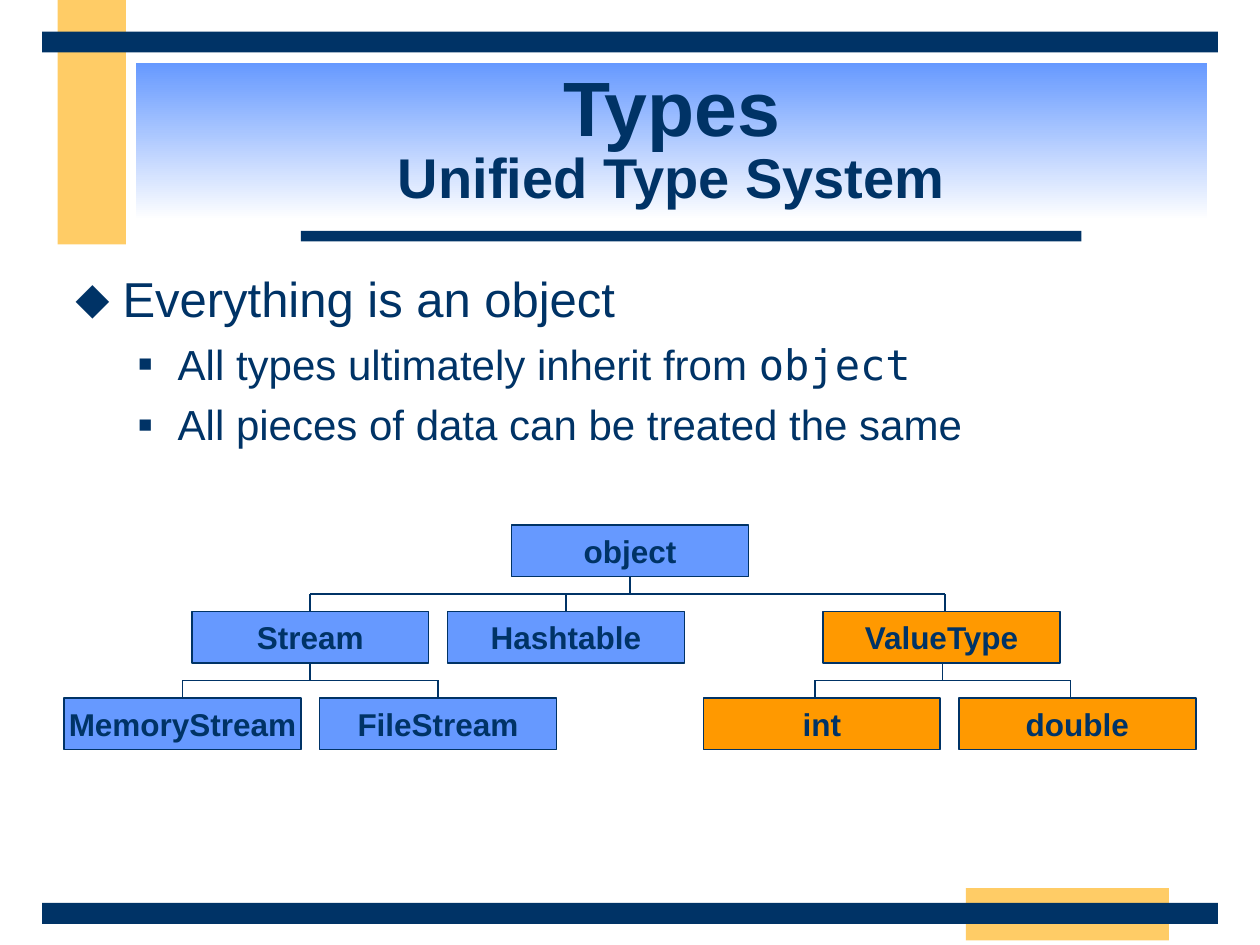
import pptx
import pptx.dml.color
import pptx.enum.shapes
import pptx.enum.text
import pptx.oxml
import pptx.oxml.ns
import pptx.util
from lxml import etree

Pt = pptx.util.Pt
RGB = pptx.dml.color.RGBColor
ALIGN = pptx.enum.text.PP_ALIGN
ANCHOR = pptx.enum.text.MSO_ANCHOR
NAVY = RGB(0x00, 0x33, 0x66)
SAND = RGB(0xFF, 0xCC, 0x66)
BLUE = RGB(0x66, 0x99, 0xFF)
ORANGE = RGB(0xFF, 0x99, 0x00)
WHITE = RGB(0xFF, 0xFF, 0xFF)
SANS, MONO = "Arial", "DejaVu Sans Mono"

NODE_W, NODE_H = 135.4, 29.5
ROW_TOPS = [300, 349.4, 398.8]
HALF_GAP = (ROW_TOPS[1] - ROW_TOPS[0] - NODE_H) / 2


class TypeSlide:
    line_width = 0.88

    def __init__(self, slide):
        self.slide = slide

    def bar(self, left, top, width, height, color):
        shape = self.slide.shapes.add_shape(
            pptx.enum.shapes.MSO_SHAPE.RECTANGLE, Pt(left), Pt(top), Pt(width), Pt(height))
        shape.shadow.inherit = False
        shape.fill.solid()
        shape.fill.fore_color.rgb = color
        shape.line.fill.background()
        return shape

    def run(self, paragraph, text, size, bold=False, font=SANS):
        run = paragraph.add_run()
        run.text = text
        run.font.size = Pt(size)
        run.font.bold = bold
        run.font.name = font
        run.font.color.rgb = NAVY

    def title(self, heading, subheading):
        banner = self.bar(77.8, 36, 612, 90, BLUE)
        banner.fill.gradient()
        banner.fill.gradient_angle = 270
        for stop, color in zip(banner.fill.gradient_stops, (BLUE, WHITE)):
            stop.color.rgb = color
        banner.text_frame.word_wrap = True
        banner.text_frame.vertical_anchor = ANCHOR.MIDDLE
        paragraph = banner.text_frame.paragraphs[0]
        paragraph.alignment = ALIGN.CENTER
        paragraph.line_spacing = 0.85
        self.run(paragraph, heading, 44, bold=True)
        paragraph.add_line_break()
        self.run(paragraph, subheading, 32, bold=True)

    def bullet(self, paragraph, char, margin, indent, percent):
        props = paragraph._p.get_or_add_pPr()
        props.set("marL", str(Pt(margin)))
        props.set("indent", str(Pt(-indent)))
        qn = pptx.oxml.ns.qn
        color = etree.SubElement(props, qn("a:buClr"))
        etree.SubElement(color, qn("a:srgbClr"), val=str(NAVY))
        etree.SubElement(props, qn("a:buSzPct"), val=str(percent * 1000))
        etree.SubElement(props, qn("a:buFont"), typeface=SANS)
        etree.SubElement(props, qn("a:buChar"), char=char)

    def body(self, point, details):
        """Place one main point and its details, each a list of (text, font)."""
        box = self.slide.shapes.add_textbox(Pt(36), Pt(150), Pt(648), Pt(354))
        frame = box.text_frame
        frame.word_wrap = True
        self.bullet(frame.paragraphs[0], "⬥", 27, 27, 100)
        self.run(frame.paragraphs[0], point, 28)
        for detail in details:
            paragraph = frame.add_paragraph()
            paragraph.level = 1
            self.bullet(paragraph, "■", 58.5, 22.5, 55)
            paragraph.space_before = Pt(6)
            for text, font in detail:
                self.run(paragraph, text, 24, font=font)

    def line(self, x1, y1, x2, y2):
        connector = self.slide.shapes.add_connector(
            pptx.enum.shapes.MSO_CONNECTOR.STRAIGHT, Pt(x1), Pt(y1), Pt(x2), Pt(y2))
        connector.line.color.rgb = NAVY
        connector.line.width = Pt(self.line_width)
        etree.SubElement(connector._element.spPr, pptx.oxml.ns.qn("a:effectLst"))

    def branch(self, parent_x, row, child_xs):
        """Join a node in the given row to its children in the next row."""
        bottom = ROW_TOPS[row] + NODE_H
        rail = bottom + HALF_GAP
        self.line(parent_x, bottom, parent_x, rail)
        self.line(child_xs[0], rail, child_xs[-1], rail)
        for x in child_xs:
            self.line(x, rail, x, ROW_TOPS[row + 1])

    def node(self, name, center_x, row, color):
        box = self.bar(center_x - NODE_W / 2, ROW_TOPS[row], NODE_W, NODE_H, color)
        box.line.color.rgb = NAVY
        box.line.width = Pt(self.line_width)
        frame = box.text_frame
        frame.margin_left = frame.margin_right = frame.margin_top = frame.margin_bottom = 0
        frame.word_wrap = False
        frame.vertical_anchor = ANCHOR.MIDDLE
        frame.paragraphs[0].alignment = ALIGN.CENTER
        self.run(frame.paragraphs[0], name, 18, bold=True)


def main():
    deck = pptx.Presentation()
    deck.slide_width, deck.slide_height = Pt(720), Pt(540)
    page = TypeSlide(deck.slides.add_slide(deck.slide_layouts[6]))

    page.bar(33, 0, 39, 139.7, SAND)
    page.bar(552, 507.5, 116, 30, SAND)
    page.bar(172, 132, 446, 6, NAVY)
    for top in (516, 18):
        page.bar(24, top, 672, 12, NAVY)

    page.title("Types", "Unified Type System")
    page.body("Everything is an object", [
        [("All types ultimately inherit from ", SANS), ("object", MONO)],
        [("All pieces of data can be treated the same", SANS)],
    ])

    page.branch(360, 0, [177.3, 323.4, 540])
    page.branch(177.3, 1, [104.3, 250.3])
    page.branch(538.7, 1, [465.7, 611.7])
    for name, center_x, row, color in [
        ("object", 360, 0, BLUE),
        ("Stream", 177.3, 1, BLUE),
        ("Hashtable", 323.4, 1, BLUE),
        ("ValueType", 538, 1, ORANGE),
        ("MemoryStream", 104.3, 2, BLUE),
        ("FileStream", 250.3, 2, BLUE),
        ("int", 469.6, 2, ORANGE),
        ("double", 615.6, 2, ORANGE),
    ]:
        page.node(name, center_x, row, color)

    deck.save("out.pptx")


if __name__ == "__main__":
    main()
